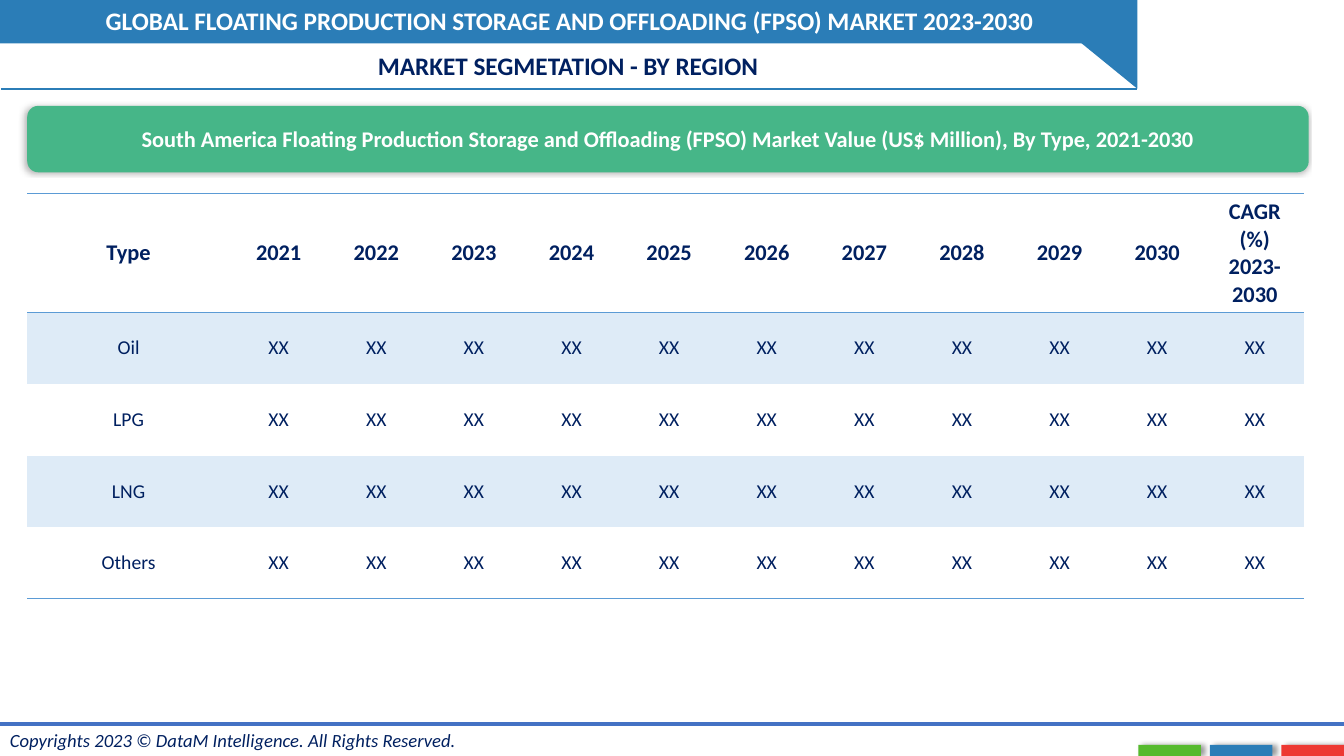
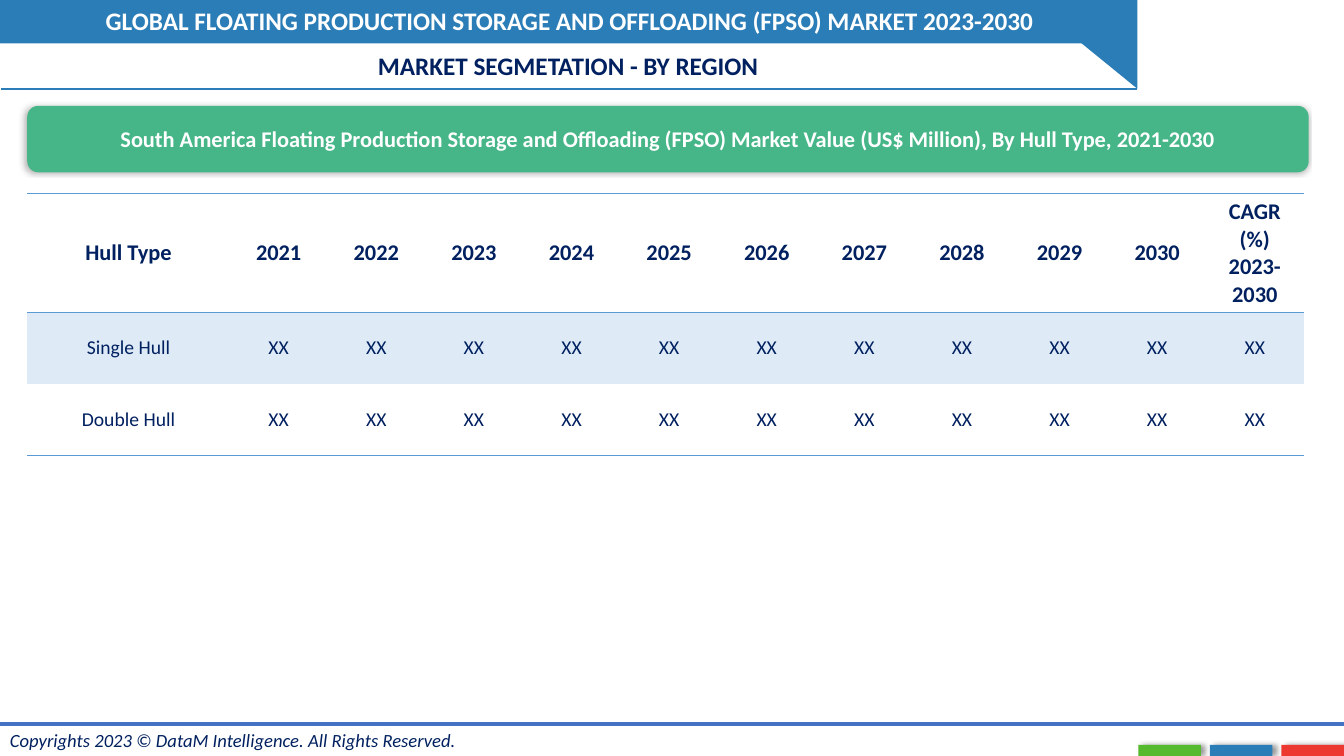
"""Build two slides on the South America FPSO market, by type and by hull type."""
from dataclasses import dataclass
from typing import Optional

from lxml.etree import SubElement
from pptx import Presentation
from pptx.dml.color import RGBColor
from pptx.enum.shapes import MSO_CONNECTOR as Connector, MSO_SHAPE as Preset
from pptx.enum.text import MSO_ANCHOR as Anchor, MSO_AUTO_SIZE as AutoSize, PP_ALIGN as Align
from pptx.oxml.ns import qn
from pptx.util import Inches, Pt

FONT = "Calibri"
WHITE, NAVY, BLUE, GREEN = "FFFFFF", "002060", "2B7DB7", "46B688"
FOOTER_BLUE, TABLE_RULE, TABLE_BAND = "4472C4", "5B9BD5", "DEEBF7"
TAB_COLORS = ("56BA2E", BLUE, "ED3832")
PLAIN_TABLE_STYLE = "{2D5ABB26-0587-4C30-8999-92F81FD0307C}"

SLIDE_WIDTH, SLIDE_HEIGHT = 13.33, 7.5
FOOTER_TOP = 7.18
TABLE_LEFT, TABLE_TOP, TABLE_WIDTH = 0.27, 1.92, 12.66
LABEL_WIDTH, HEADER_HEIGHT, ROW_HEIGHT = 2.01, 1.18, 0.71

REPORT_TITLE = "GLOBAL FLOATING PRODUCTION STORAGE AND OFFLOADING (FPSO) MARKET 2023-2030"
SECTION_TITLE = "MARKET SEGMETATION - BY REGION"
COPYRIGHT = "Copyrights 2023 © DataM Intelligence. All Rights Reserved."
YEARS = [str(year) for year in range(2021, 2031)]


@dataclass(frozen=True)
class Area:
    left: float
    top: float
    width: float
    height: float

    def lengths(self) -> list:
        return [Inches(n) for n in (self.left, self.top, self.width, self.height)]


@dataclass(frozen=True)
class TextStyle:
    size: float
    color: str
    bold: bool = False
    italic: bool = False
    align: Align = Align.CENTER


@dataclass(frozen=True)
class Shadow:
    opacity: int
    distance: float
    angle: int
    blur: float = 4


@dataclass(frozen=True)
class Segment:
    name: str
    rows: tuple


TITLE_STYLE = TextStyle(18, WHITE, bold=True)
SECTION_STYLE = TextStyle(18, NAVY, bold=True)
BANNER_STYLE = TextStyle(16, WHITE, bold=True)
HEADER_STYLE = TextStyle(16, NAVY, bold=True)
CELL_STYLE = TextStyle(14, NAVY)
FOOTER_STYLE = TextStyle(13.3, NAVY, italic=True, align=Align.LEFT)
TAB_SHADOW = Shadow(opacity=40, distance=3, angle=0)
BANNER_SHADOW = Shadow(opacity=30, distance=2, angle=180)

SEGMENTS = (
    Segment("Type", ("Oil", "LPG", "LNG", "Others")),
    Segment("Hull Type", ("Single Hull", "Double Hull")),
)


def rgb(color: str) -> RGBColor:
    return RGBColor.from_string(color)


def write(frame, text: str, style: TextStyle) -> None:
    para = frame.paragraphs[0]
    para.text = text
    para.alignment = style.align
    font = para.font
    font.name, font.size = FONT, Pt(style.size)
    font.bold, font.italic = style.bold, style.italic
    font.color.rgb = rgb(style.color)


def add_text(page, area: Area, text: str, style: TextStyle, wrap: bool = True) -> None:
    frame = page.shapes.add_textbox(*area.lengths()).text_frame
    frame.word_wrap = wrap
    frame.auto_size = AutoSize.SHAPE_TO_FIT_TEXT
    write(frame, text, style)


def add_shadow(shape, shadow: Shadow) -> None:
    effects = shape._element.spPr.find(qn("a:effectLst"))
    outer = SubElement(effects, qn("a:outerShdw"), blurRad=str(Pt(shadow.blur)),
                       dist=str(Pt(shadow.distance)), dir=str(shadow.angle * 60000),
                       algn="ctr", rotWithShape="0")
    color = SubElement(outer, qn("a:srgbClr"), val="000000")
    SubElement(color, qn("a:alpha"), val=str(shadow.opacity * 1000))


def add_block(page, preset: Preset, area: Area, color: str, shadow: Optional[Shadow] = None):
    shape = page.shapes.add_shape(preset, *area.lengths())
    shape.fill.solid()
    shape.fill.fore_color.rgb = rgb(color)
    shape.line.fill.background()
    shape.shadow.inherit = False
    if shadow:
        add_shadow(shape, shadow)
    return shape


def add_rule(page, left: float, right: float, top: float, color: str, width: float) -> None:
    rule = page.shapes.add_connector(Connector.STRAIGHT, Inches(left), Inches(top),
                                     Inches(right), Inches(top))
    rule.line.color.rgb = rgb(color)
    rule.line.width = Pt(width)
    SubElement(rule._element.spPr, qn("a:effectLst"))


def add_frame(page) -> None:
    add_block(page, Preset.RECTANGLE, Area(0, 0, 10.74, 0.43), BLUE)
    for index, color in enumerate(TAB_COLORS):
        area = Area(11.29 + index * 0.71, 7.39, 0.62, 0.11)
        add_block(page, Preset.RECTANGLE, area, color, TAB_SHADOW)
    corner = add_block(page, Preset.RIGHT_TRIANGLE, Area(10.2, 0, 1.08, 0.88), BLUE)
    corner.rotation = 180
    add_text(page, Area(0, FOOTER_TOP, 4.68, 0.33), COPYRIGHT, FOOTER_STYLE, wrap=False)
    add_rule(page, 0.01, 11.28, 0.88, BLUE, 1.5)
    add_rule(page, 0, SLIDE_WIDTH, FOOTER_TOP, FOOTER_BLUE, 3)
    add_text(page, Area(0.01, 0, 11.28, 0.4), REPORT_TITLE, TITLE_STYLE)
    add_text(page, Area(0, 0.45, 11.27, 0.4), SECTION_TITLE, SECTION_STYLE)


def add_banner(page, segment: Segment) -> None:
    banner = add_block(page, Preset.ROUNDED_RECTANGLE, Area(0.27, 1.05, 12.71, 0.66),
                       GREEN, BANNER_SHADOW)
    frame = banner.text_frame
    frame.word_wrap = True
    frame.vertical_anchor = Anchor.MIDDLE
    write(frame, "South America Floating Production Storage and Offloading (FPSO) Market Value "
                 f"(US$ Million), By {segment.name}, 2021-2030", BANNER_STYLE)


def add_border(cell, side: str) -> None:
    border = SubElement(cell._tc.get_or_add_tcPr(), qn(f"a:{side}"), w=str(Pt(1)))
    fill = SubElement(border, qn("a:solidFill"))
    SubElement(fill, qn("a:srgbClr"), val=TABLE_RULE)


def fill_cell(cell, text: str, row: int, last_row: int) -> None:
    is_header = row == 0
    cell.vertical_anchor = Anchor.MIDDLE
    if not is_header:
        cell.margin_left = cell.margin_right = cell.margin_top = cell.margin_bottom = 0
    if is_header:
        add_border(cell, "lnT")
    if row in (0, last_row):
        add_border(cell, "lnB")
    if row % 2:
        cell.fill.solid()
        cell.fill.fore_color.rgb = rgb(TABLE_BAND)
    else:
        cell.fill.background()
    write(cell.text_frame, text, HEADER_STYLE if is_header else CELL_STYLE)


def add_value_table(page, segment: Segment) -> None:
    header = [segment.name, *YEARS, "CAGR (%) 2023-2030"]
    value_count = len(header) - 1
    records = [header] + [[label] + ["XX"] * value_count for label in segment.rows]
    last_row = len(segment.rows)
    area = Area(TABLE_LEFT, TABLE_TOP, TABLE_WIDTH, HEADER_HEIGHT + last_row * ROW_HEIGHT)
    table = page.shapes.add_table(len(records), len(header), *area.lengths()).table
    table.first_row = table.horz_banding = False
    table._tbl.tblPr.find(qn("a:tableStyleId")).text = PLAIN_TABLE_STYLE
    for index, column in enumerate(table.columns):
        column.width = Inches((TABLE_WIDTH - LABEL_WIDTH) / value_count if index else LABEL_WIDTH)
    for index, record in enumerate(records):
        table.rows[index].height = Inches(ROW_HEIGHT if index else HEADER_HEIGHT)
        for cell, text in zip(table.rows[index].cells, record):
            fill_cell(cell, text, index, last_row)


def main() -> None:
    deck = Presentation()
    deck.slide_width, deck.slide_height = Inches(SLIDE_WIDTH), Inches(SLIDE_HEIGHT)
    for segment in SEGMENTS:
        page = deck.slides.add_slide(deck.slide_layouts[6])
        add_frame(page)
        add_banner(page, segment)
        add_value_table(page, segment)
    deck.save("out.pptx")


if __name__ == "__main__":
    main()
